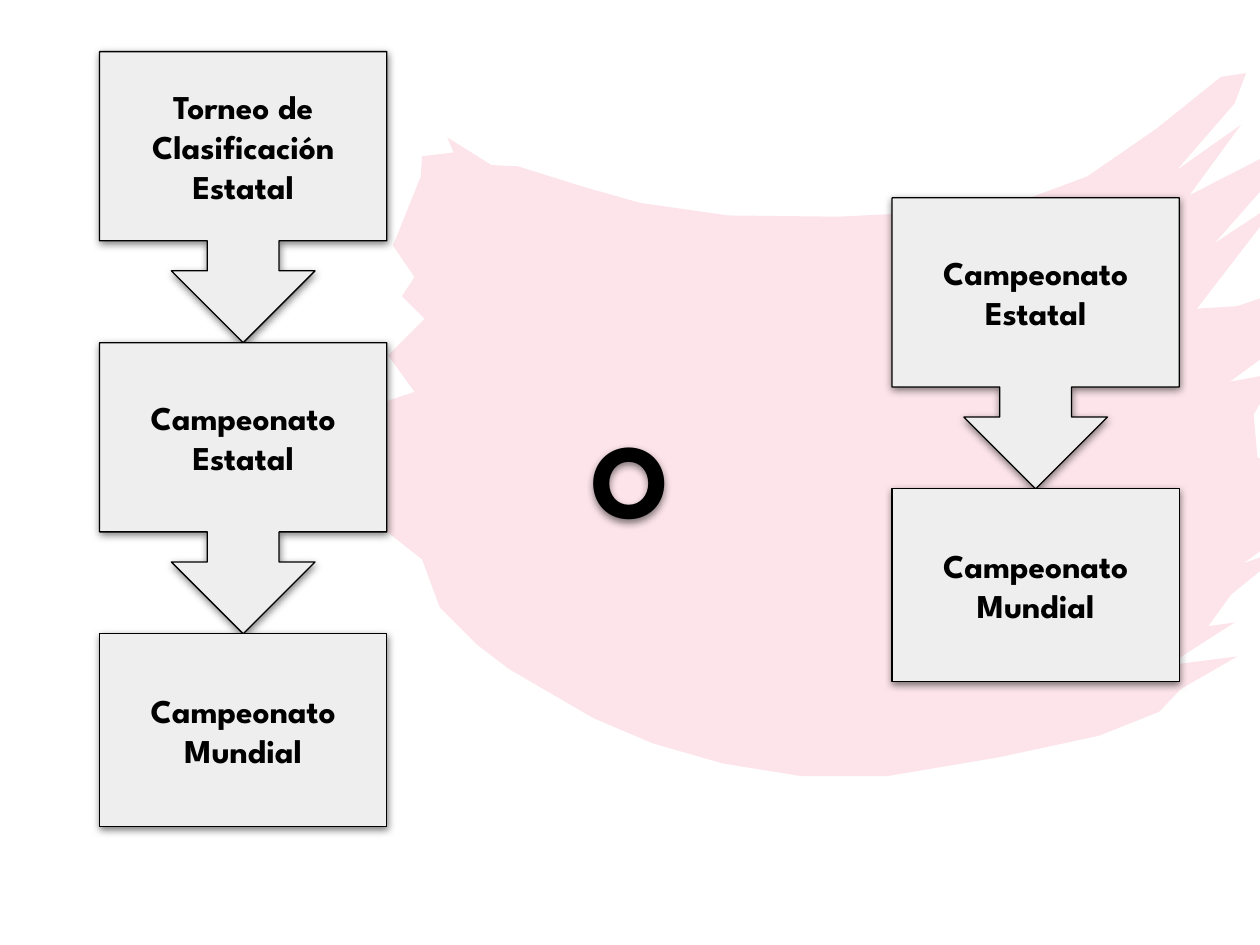
"""Build a slide with two championship routes over a pink brush stroke."""
from lxml import etree
from pptx import Presentation
from pptx.dml.color import RGBColor
from pptx.enum.shapes import MSO_SHAPE
from pptx.enum.text import MSO_ANCHOR, PP_ALIGN
from pptx.oxml import parse_xml
from pptx.oxml.ns import nsdecls, qn
from pptx.util import Inches, Pt

CALLOUT, BOX = MSO_SHAPE.DOWN_ARROW_CALLOUT, MSO_SHAPE.RECTANGLE
MIDDLE, CENTER = MSO_ANCHOR.MIDDLE, PP_ALIGN.CENTER

ROUTES = [
    {"left": 0.79, "top": 0.41, "grouped": False,
     "stages": ["Torneo de Clasificación Estatal", "Campeonato Estatal", "Campeonato Mundial"]},
    {"left": 7.08, "top": 1.57, "grouped": True,
     "stages": ["Campeonato Estatal", "Campeonato Mundial"]},
]
CHOICE = {"text": "O", "place": (4.24, 3.24, 1.52, 1.09), "size": 60}
STAGE_WIDTH, STAGE_STEP, LAST_HEIGHT, STAGE_SIZE = 2.28, 2.31, 1.53, 19
CALLOUT_RATIOS = (0.25, 0.25, 0.25, 0.65)
FRAME = {"word_wrap": True, "vertical_anchor": MIDDLE, "margin_left": Inches(0.1),
         "margin_right": Inches(0.1), "margin_top": Inches(0.1), "margin_bottom": Inches(0.1)}
FONT = {"name": "League Spartan", "bold": True}
BRUSH_UNIT = Inches(0.01)
BRUSH_EDGE = [
    (411, 132), (462, 148), (508, 161), (578, 171), (665, 172), (769, 167), (820, 156),
    (863, 140), (918, 102), (969, 61), (989, 58), (980, 82), (934, 135), (985, 99),
    (944, 155), (1020, 116), (1010, 141), (964, 193), (1017, 158), (950, 245), (982, 243),
    (1024, 229), (1032, 262), (976, 303), (1014, 296), (995, 329), (998, 363), (1046, 386),
    (1048, 403), (987, 447), (1024, 434), (977, 472), (959, 497), (980, 494), (927, 528),
    (982, 521), (937, 547), (920, 565), (872, 584), (793, 601), (704, 616), (636, 616),
    (574, 606), (518, 590), (471, 570), (404, 531), (379, 512), (349, 482), (335, 444),
    (302, 418), (283, 365), (308, 318), (329, 311), (308, 282), (337, 253), (319, 235),
    (329, 220), (312, 195), (334, 140), (335, 124), (360, 121), (355, 109), (390, 131),
]


def rgb(value):
    return RGBColor.from_string(value)


def add_shadow(shape):
    shape._element.spPr.append(parse_xml(
        f'<a:effectLst {nsdecls("a")}><a:outerShdw blurRad="{Pt(4.5)}" dist="{Pt(1.5)}" '
        'dir="5400000" algn="bl" rotWithShape="0"><a:srgbClr val="000000">'
        '<a:alpha val="50000"/></a:srgbClr></a:outerShdw></a:effectLst>'))


def write(shape, text, size):
    frame = shape.text_frame
    for name, value in FRAME.items():
        setattr(frame, name, value)
    paragraph = frame.paragraphs[0]
    paragraph.alignment = CENTER
    run = paragraph.add_run()
    run.text = text
    for name, value in {**FONT, "size": Pt(size)}.items():
        setattr(run.font, name, value)
    run.font.color.rgb = rgb("000000")


def add_brush(shapes):
    builder = shapes.build_freeform(*BRUSH_EDGE[0], scale=BRUSH_UNIT)
    builder.add_line_segments(BRUSH_EDGE[1:])
    brush = builder.convert_to_shape()
    brush.shadow.inherit = False
    brush.fill.solid()
    brush.fill.fore_color.rgb = rgb("F07C98")
    tint = brush._element.spPr.find(qn("a:solidFill"))[0]
    etree.SubElement(tint, qn("a:alpha"), val="20000")
    brush.line.fill.background()


def add_route(shapes, route):
    if route["grouped"]:
        shapes = shapes.add_group_shape().shapes
    last = len(route["stages"]) - 1
    for index, text in enumerate(route["stages"]):
        kind, height = (BOX, LAST_HEIGHT) if index == last else (CALLOUT, STAGE_STEP)
        top = route["top"] + index * STAGE_STEP
        stage = shapes.add_shape(kind, *map(Inches, (route["left"], top, STAGE_WIDTH, height)))
        if kind == CALLOUT:
            for position, ratio in enumerate(CALLOUT_RATIOS):
                stage.adjustments[position] = ratio
        stage.fill.solid()
        stage.fill.fore_color.rgb = rgb("EEEEEE")
        stage.line.color.rgb = rgb("000000")
        stage.line.width = Pt(0.75)
        add_shadow(stage)
        write(stage, text, STAGE_SIZE)


def main():
    deck = Presentation()
    deck.slide_width, deck.slide_height = Inches(10), Inches(7.5)
    shapes = deck.slides.add_slide(deck.slide_layouts[6]).shapes
    add_brush(shapes)
    for route in ROUTES:
        add_route(shapes, route)
    choice = shapes.add_textbox(*map(Inches, CHOICE["place"]))
    add_shadow(choice)
    write(choice, CHOICE["text"], CHOICE["size"])
    deck.save("out.pptx")


if __name__ == "__main__":
    main()
